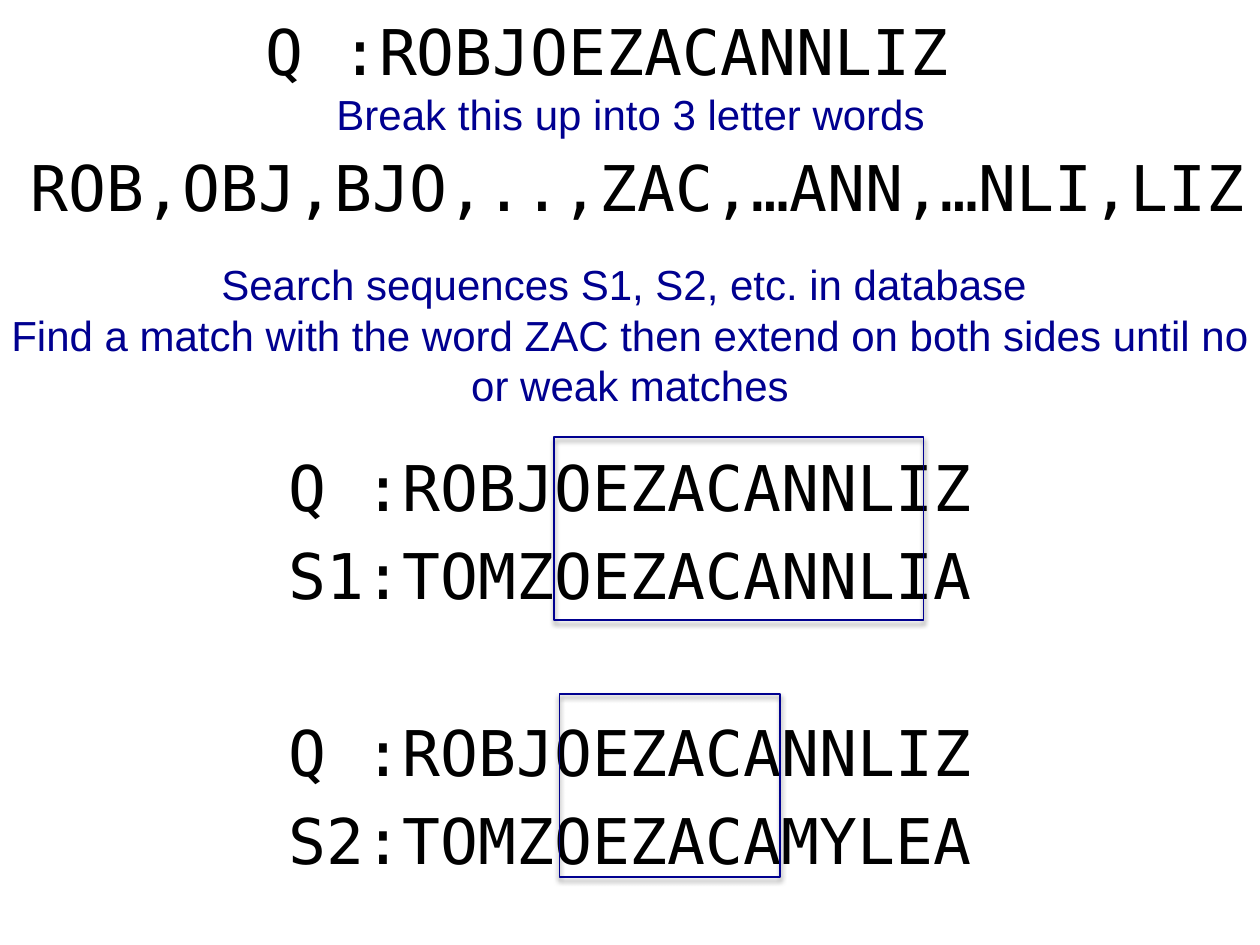
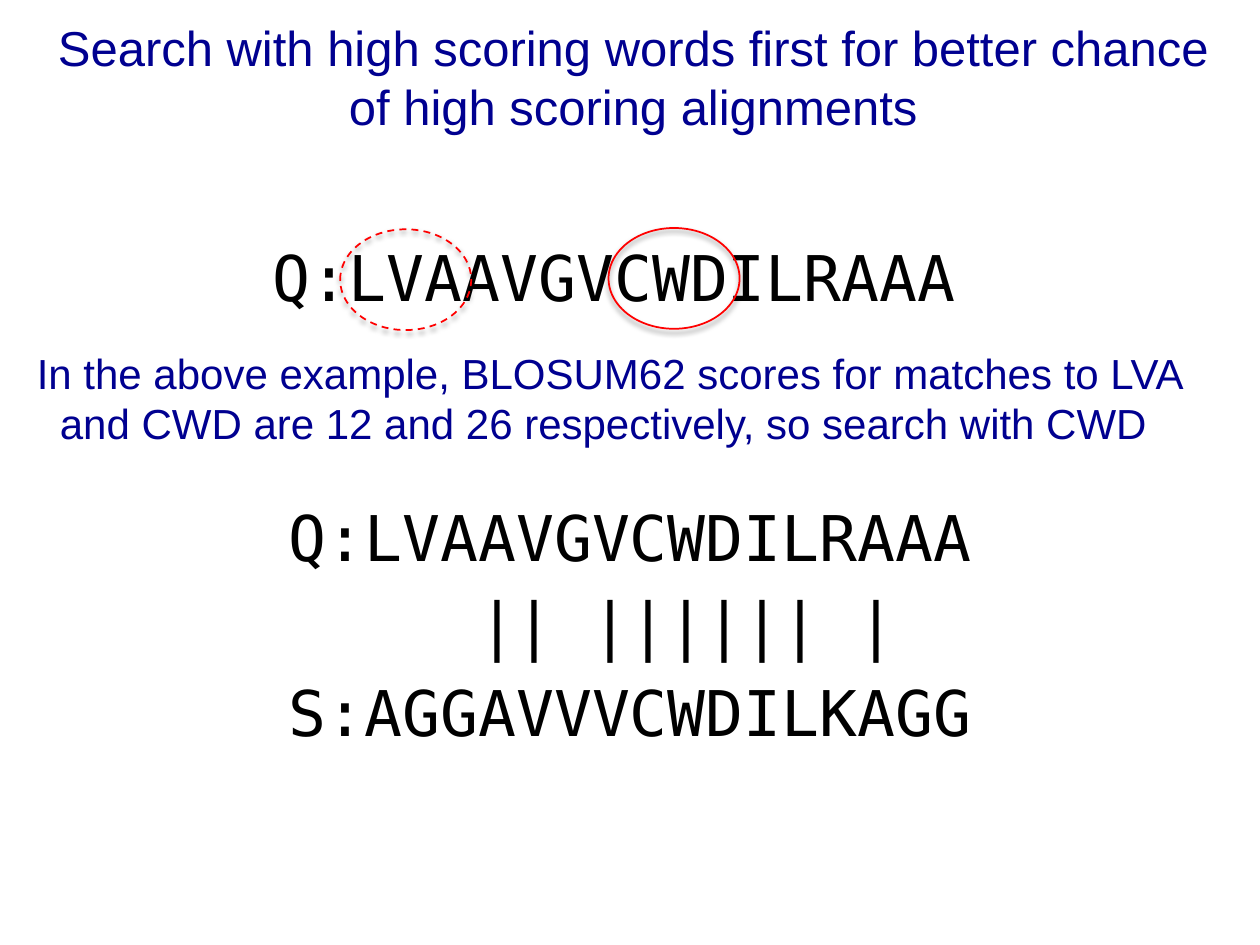
from lxml import etree
from pptx import Presentation
from pptx.dml.color import RGBColor
from pptx.enum.dml import MSO_LINE
from pptx.enum.shapes import MSO_SHAPE
from pptx.enum.text import MSO_ANCHOR, PP_ALIGN
from pptx.oxml.ns import qn
from pptx.util import Inches, Pt

CENTER, MIDDLE = PP_ALIGN.CENTER, MSO_ANCHOR.MIDDLE
RECTANGLE, OVAL, DASH = MSO_SHAPE.RECTANGLE, MSO_SHAPE.OVAL, MSO_LINE.DASH

NAVY, RED, BLACK = "000090", "FF0000", "000000"
PROSE_FONT, SEQUENCE_FONT = "Arial", "DejaVu Sans Mono"
SEQUENCE_SIZE = 36
LETTER_WIDTH = 0.3
LINE_FACTOR = 1.2
INSET = 0.04
QUERY = "Q :ROBJOEZACANNLIZ"


def color(code):
    return RGBColor.from_string(code)


def add_text(page, box, lines, font, size, ink, gap=0):
    """Write centred lines, one paragraph each, and return the paragraphs."""
    frame = page.shapes.add_textbox(*map(Inches, box)).text_frame
    frame.word_wrap = True
    frame.vertical_anchor = MIDDLE
    frame.margin_left = frame.margin_right = Inches(INSET)
    frame.margin_top = frame.margin_bottom = Inches(INSET)
    frame.text = "\n".join(lines)
    for index, para in enumerate(frame.paragraphs):
        para.alignment = CENTER
        para.line_spacing = Pt(size * LINE_FACTOR)
        para.space_before = Pt(gap if index else 0)
        para.font.name = font
        para.font.size = Pt(size)
        para.font.color.rgb = color(ink)
    return frame.paragraphs


def add_prose(page, box, *lines, size=24):
    return add_text(page, box, lines, PROSE_FONT, size, NAVY)


def add_sequences(page, box, *lines):
    return add_text(page, box, lines, SEQUENCE_FONT, SEQUENCE_SIZE, BLACK, gap=7)


def add_marker(page, preset, box, ink, dash=None):
    """Outline a matching region, with a soft shadow below the line."""
    marker = page.shapes.add_shape(preset, *map(Inches, box))
    marker.fill.background()
    marker.line.color.rgb = color(ink)
    marker.line.width = Pt(1)
    if dash is not None:
        marker.line.dash_style = dash
    marker.shadow.inherit = False
    effects = marker._element.spPr.find(qn("a:effectLst"))
    shadow = etree.SubElement(effects, qn("a:outerShdw"), blurRad=str(Pt(3)),
                              dist=str(Pt(2)), dir="5400000", rotWithShape="0")
    tint = etree.SubElement(shadow, qn("a:srgbClr"), val=BLACK)
    etree.SubElement(tint, qn("a:alpha"), val="50000")


def add_alignment(page, top, subject, marker_box):
    """Query above subject, with a frame around the extended match."""
    add_sequences(page, (0.75, top, 8.5, 1.38), QUERY, subject)
    left, rise, width = marker_box
    add_marker(page, RECTANGLE, (left, top - rise, width, 1.45), NAVY)


def build_word_search(page):
    # Query and its words
    add_sequences(page, (2.03, 0.04, 5.57, 0.72), QUERY)
    add_prose(page, (0.38, 0.66, 9.25, 0.48), "Break this up into 3 letter words")
    add_sequences(page, (0.12, 1.12, 9.88, 0.72), "ROB,OBJ,BJO,..,ZAC,…ANN,…NLI,LIZ")

    # Search rule
    add_prose(page, (0, 2.01, 10, 1.29),
              "Search sequences S1, S2, etc. in database ",
              "Find a match with the word ZAC then extend on both sides "
              "until no or weak matches")

    # Extended matches
    add_alignment(page, 3.52, "S1:TOMZOEZACANNLIA", (4.4, 0.05, 2.93))
    add_alignment(page, 5.62, "S2:TOMZOEZACAMYLEA", (4.44, 0.11, 1.75))


def build_scoring_words(page):
    # Title
    add_prose(page, (0.37, 0.08, 9.31, 1.06),
              "Search with high scoring words first for better chance "
              "of high scoring alignments", size=28)

    # Query with a strong word and a weak word
    query = "Q:LVAAVGVCWDILRAAA"
    add_sequences(page, (2.09, 1.83, 5.57, 0.72), query)
    add_marker(page, OVAL, (4.83, 1.81, 1.04, 0.8), RED)
    add_marker(page, OVAL, (2.7, 1.82, 1.04, 0.8), RED, DASH)

    # Explanation
    add_prose(page, (0.21, 2.71, 9.25, 0.89),
              "In the above example, BLOSUM62 scores for matches to LVA and CWD "
              "are 12 and 26 respectively, so search with CWD ")

    # Alignment, its match bars shifted by three letters
    paras = add_sequences(page, (0.75, 3.91, 8.5, 2.08),
                          query, "|| |||||| |", "S:AGGAVVVCWDILKAGG")
    paras[1]._p.get_or_add_pPr().set("marL", str(Inches(3 * LETTER_WIDTH)))


def main():
    deck = Presentation()
    deck.slide_width, deck.slide_height = Inches(10), Inches(7.5)
    blank = deck.slide_layouts[6]
    for build in (build_word_search, build_scoring_words):
        build(deck.slides.add_slide(blank))
    deck.save("out.pptx")


if __name__ == "__main__":
    main()
